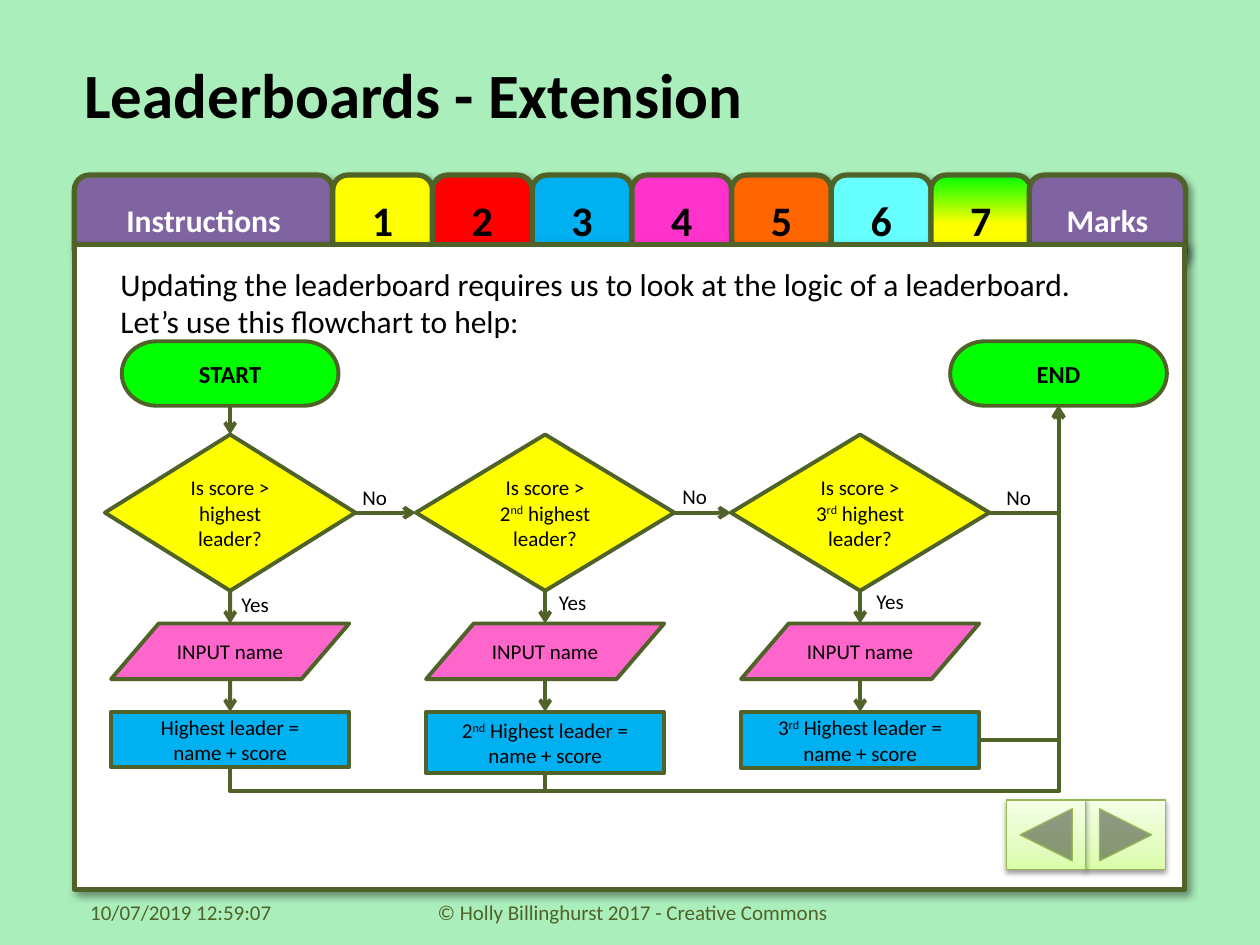
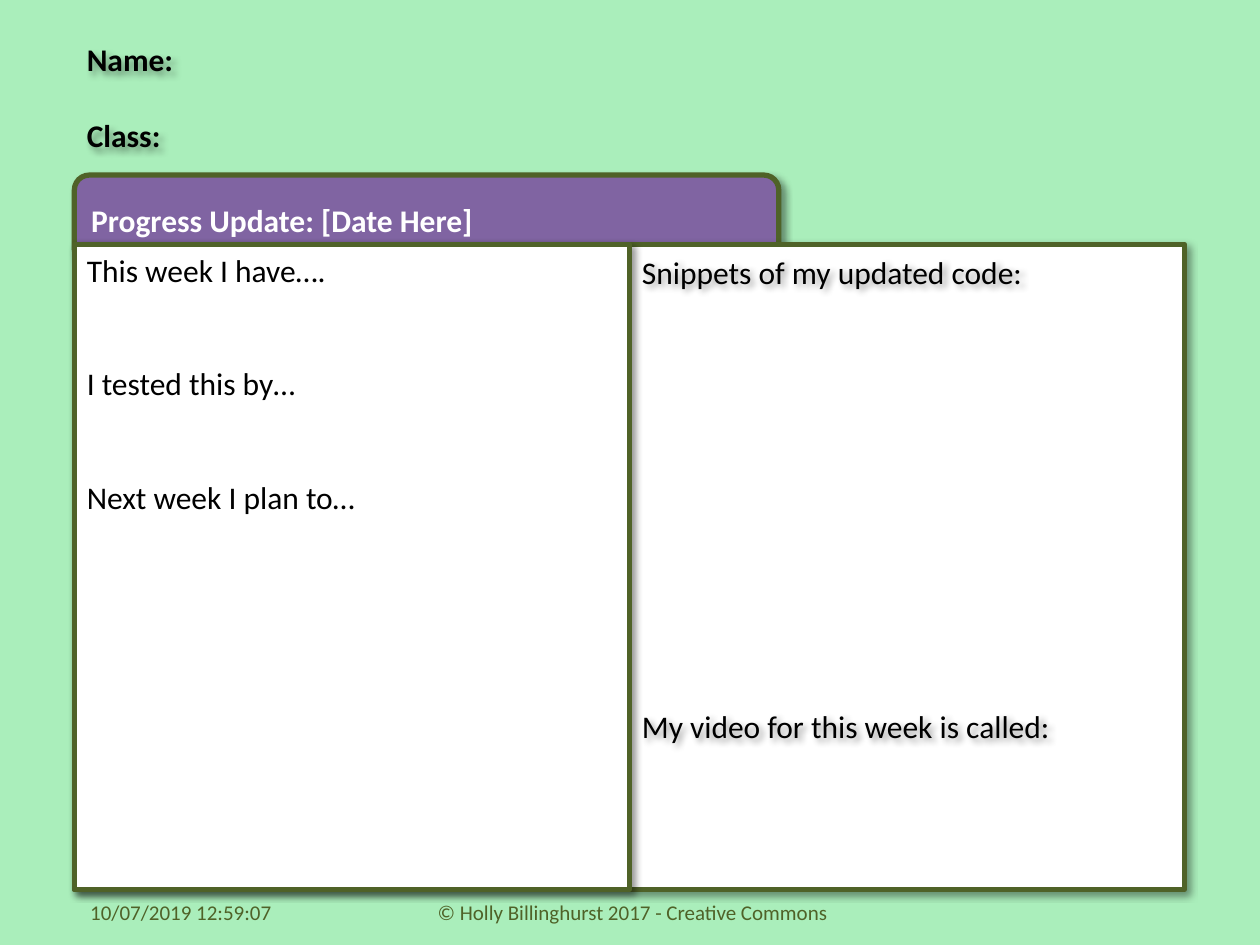
from lxml import etree
from pptx import Presentation
from pptx.dml.color import RGBColor
from pptx.enum.shapes import MSO_CONNECTOR, MSO_SHAPE
from pptx.enum.text import MSO_ANCHOR, PP_ALIGN
from pptx.oxml import parse_xml
from pptx.oxml.ns import nsdecls, qn
from pptx.util import Cm, Pt

RECTANGLE = MSO_SHAPE.RECTANGLE
ROUNDED = MSO_SHAPE.ROUNDED_RECTANGLE
TERMINATOR = MSO_SHAPE.FLOWCHART_TERMINATOR
DECISION = MSO_SHAPE.FLOWCHART_DECISION
INPUT = MSO_SHAPE.FLOWCHART_DATA
BACK = MSO_SHAPE.ACTION_BUTTON_BACK_OR_PREVIOUS
FORWARD = MSO_SHAPE.ACTION_BUTTON_FORWARD_OR_NEXT
STRAIGHT, ELBOW = MSO_CONNECTOR.STRAIGHT, MSO_CONNECTOR.ELBOW
TOP, MIDDLE = MSO_ANCHOR.TOP, MSO_ANCHOR.MIDDLE
LEFT, CENTER = PP_ALIGN.LEFT, PP_ALIGN.CENTER
SITE_TOP, SITE_LEFT, SITE_BOTTOM, SITE_RIGHT = range(4)

FONT = "Calibri"
MINT = RGBColor(0xAA, 0xEE, 0xBB)
OLIVE = RGBColor(0x4F, 0x62, 0x28)
LEAF = RGBColor(0x98, 0xB9, 0x55)
PURPLE = RGBColor(0x80, 0x64, 0xA2)
WHITE = RGBColor(0xFF, 0xFF, 0xFF)
BLACK = RGBColor(0x00, 0x00, 0x00)
YELLOW = RGBColor(0xFF, 0xFF, 0x00)
RED = RGBColor(0xFF, 0x00, 0x00)
BLUE = RGBColor(0x00, 0xB0, 0xF0)
MAGENTA = RGBColor(0xFF, 0x33, 0xCC)
PINK = RGBColor(0xFF, 0x66, 0xCC)
ORANGE = RGBColor(0xFF, 0x66, 0x00)
CYAN = RGBColor(0x66, 0xFF, 0xFF)
GREEN = RGBColor(0x00, 0xFF, 0x00)

# Gradients: angle in degrees, then (position in percent, colour)
GREEN_TO_YELLOW = (90, [(0, GREEN), (55, YELLOW), (100, YELLOW)])
BUTTON_GREEN = (270, [(0, RGBColor(0xDA, 0xFD, 0xA7)),
                      (35, RGBColor(0xE4, 0xFC, 0xC2)),
                      (100, RGBColor(0xF5, 0xFF, 0xE7))])

# Shadows: opacity in percent, blur and distance in points, angle in degrees
CARD_SHADOW = (40, 4, 3, 45)
BUTTON_SHADOW = (38, 3.1, 1.6, 90)

PANEL_LEFT, PANEL_TOP, PANEL_WIDTH, PANEL_HEIGHT = 1.5, 4.93, 22.38, 13
TAB_TOP, TAB_HEIGHT = 3.53, 1.8
LINE_HEIGHT = 21.6  # one 18 point line, in points

COLUMN_FIRST, COLUMN_STEP = 4.64, 6.35
DECISION_TOP, DECISION_HEIGHT = 8.76, 3.15
INPUT_TOP, INPUT_HEIGHT = 12.57, 1.12
RESULT_TOP, RETURN_LEVEL = 14.35, 15.95
BOX_WIDTH = 4.8


def set_gradient(shape, gradient):
    angle, stops = gradient
    stop_xml = "".join(
        f'<a:gs pos="{place * 1000}"><a:srgbClr val="{colour}"/></a:gs>'
        for place, colour in stops)
    fill = parse_xml(
        f'<a:gradFill rotWithShape="1" {nsdecls("a")}><a:gsLst>{stop_xml}</a:gsLst>'
        f'<a:lin ang="{angle * 60000}" scaled="0"/></a:gradFill>')
    shape._element.spPr.find(qn("a:prstGeom")).addnext(fill)


def set_shadow(shape, shadow):
    shape.shadow.inherit = False
    if shadow:
        opacity, blur, distance, angle = shadow
        effects = shape._element.spPr.find(qn("a:effectLst"))
        effects.append(parse_xml(
            f'<a:outerShdw {nsdecls("a")} blurRad="{Pt(blur)}" dist="{Pt(distance)}" '
            f'dir="{angle * 60000}" algn="tl" rotWithShape="0"><a:srgbClr val="000000">'
            f'<a:alpha val="{opacity * 1000}"/></a:srgbClr></a:outerShdw>'))


def write(shape, text, size, colour=BLACK, bold=False, align=LEFT, anchor=TOP, gap=0):
    """Fill a shape with text; ^ marks switch superscript on and off."""
    frame = shape.text_frame
    frame.word_wrap = True
    frame.vertical_anchor = anchor
    for index, line in enumerate(text.split("\n")):
        para = frame.add_paragraph() if index else frame.paragraphs[0]
        para.alignment = align
        if index and gap:
            para.space_before = Pt(gap)
        for part, piece in enumerate(line.split("^")):
            span = para.add_run()
            span.text = piece
            span.font.name, span.font.size, span.font.bold = FONT, Pt(size), bold
            span.font.color.rgb = colour
            if part % 2:
                span._r.get_or_add_rPr().set("baseline", "30000")


def add_text(page, left, top, width, height, text, size, shadow=None, **style):
    box = page.shapes.add_textbox(Cm(left), Cm(top), Cm(width), Cm(height))
    if shadow:
        set_shadow(box, shadow)
    write(box, text, size, **style)
    return box


def add_box(page, kind, left, top, width, height, fill, line=OLIVE, weight=2.25,
            shadow=None):
    box = page.shapes.add_shape(kind, Cm(left), Cm(top), Cm(width), Cm(height))
    if isinstance(fill, RGBColor):
        box.fill.solid()
        box.fill.fore_color.rgb = fill
    else:
        set_gradient(box, fill)
    box.line.color.rgb = line
    box.line.width = Pt(weight)
    set_shadow(box, shadow)
    return box


def add_card(page, kind, left, top, width, height, fill):
    return add_box(page, kind, left, top, width, height, fill, weight=3,
                   shadow=CARD_SHADOW)


def add_tab(page, left, width, text, fill, size=18, colour=WHITE, align=CENTER):
    tab = add_card(page, ROUNDED, left, TAB_TOP, width, TAB_HEIGHT, fill)
    write(tab, text, size, colour, bold=True, align=align, anchor=MIDDLE)


def add_flow_box(page, kind, centre, top, width, height, fill, text, size=12):
    box = add_box(page, kind, centre - width / 2, top, width, height, fill)
    write(box, text, size, bold=kind == TERMINATOR, align=CENTER, anchor=MIDDLE)
    return box


def add_arrow(page, kind, start, end, begin_at=None, end_at=None):
    """Draw an arrow; begin_at and end_at are (box, site) pairs to join."""
    arrow = page.shapes.add_connector(kind, *(Cm(value) for value in start + end))
    if begin_at:
        arrow.begin_connect(*begin_at)
    if end_at:
        arrow.end_connect(*end_at)
    arrow.line.color.rgb = OLIVE
    arrow.line.width = Pt(2.25)
    properties = arrow._element.spPr
    etree.SubElement(properties.find(qn("a:ln")), qn("a:tailEnd"), type="arrow")
    etree.SubElement(properties, qn("a:effectLst"))
    return arrow


def add_corner_arrow(page, box, end_box, start, end):
    arrow = add_arrow(page, ELBOW, start, end, (box, SITE_RIGHT), (end_box, SITE_BOTTOM))
    arrow._element.spPr.find(qn("a:prstGeom")).set("prst", "bentConnector2")


def add_return_arrow(page, box, end_box, start, end):
    """Lead an arrow down to the return level, across, and up to the end box."""
    arrow = add_arrow(page, ELBOW, start, end, (box, SITE_BOTTOM), (end_box, SITE_BOTTOM))
    across, rise = arrow.width, arrow.height
    arrow.left += (across - rise) // 2
    arrow.top += (rise - across) // 2
    arrow.width, arrow.height = rise, across
    properties = arrow._element.spPr
    frame = properties.find(qn("a:xfrm"))
    for name, value in (("rot", "5400000"), ("flipH", "1"), ("flipV", "1")):
        frame.set(name, value)
    drop = (RETURN_LEVEL - start[1]) / (start[1] - end[1])
    guides = properties.find(qn("a:prstGeom")).get_or_add_avLst()
    etree.SubElement(guides, qn("a:gd"), name="adj1", fmla=f"val {round(-drop * 100000)}")


def add_page(deck):
    page = deck.slides.add_slide(deck.slide_layouts[6])
    page.background.fill.solid()
    page.background.fill.fore_color.rgb = MINT
    return page


def add_footer(page):
    add_text(page, 1.57, 17.88, 5.92, 1.02, "10/07/2019 12:59:07", 12,
             colour=OLIVE, anchor=MIDDLE)
    add_text(page, 7.42, 17.88, 10.67, 1.02, "© Holly Billinghurst 2017 - Creative Commons",
             12, colour=OLIVE, align=CENTER, anchor=MIDDLE)


def add_tabs(page):
    add_tab(page, PANEL_LEFT, 5.21, "Instructions", PURPLE)
    fills = [YELLOW, RED, BLUE, MAGENTA, ORANGE, CYAN, GREEN_TO_YELLOW]
    for index, fill in enumerate(fills):
        add_tab(page, 6.71 + 2.01 * index, 2.01, str(index + 1), fill, 24, BLACK)
    add_tab(page, 20.75, 3.15, "Marks", PURPLE)


def add_flowchart(page):
    start_box = add_flow_box(page, TERMINATOR, COLUMN_FIRST, 6.88, 4.37, 1.3, GREEN,
                             "START", 14)
    end_centre, end_bottom = 21.34, 8.18
    end_box = add_flow_box(page, TERMINATOR, end_centre, 6.88, 4.37, 1.3, GREEN, "END", 14)
    end = (end_centre, end_bottom)
    columns = [
        ("highest", "Highest leader =\nname + score", 5.05, 1.12),
        ("2^nd^ highest", "2^nd^ Highest leader = name + score", 5.21, 1.24),
        ("3^rd^ highest", "3^rd^ Highest leader = name + score", 5.21, 1.14),
    ]
    source, site, source_end = start_box, SITE_BOTTOM, (COLUMN_FIRST, end_bottom)
    middle = DECISION_TOP + DECISION_HEIGHT / 2
    for index, (rank, result_text, width, result_height) in enumerate(columns):
        centre = COLUMN_FIRST + COLUMN_STEP * index
        decision = add_flow_box(page, DECISION, centre, DECISION_TOP, width,
                                DECISION_HEIGHT, YELLOW, f"Is score > {rank} leader?")
        add_flow_box(page, INPUT, centre, INPUT_TOP, BOX_WIDTH, INPUT_HEIGHT, PINK,
                     "INPUT name")
        result = add_flow_box(page, RECTANGLE, centre, RESULT_TOP, BOX_WIDTH,
                              result_height, BLUE, result_text)

        entry = (centre - width / 2, middle) if index else (centre, DECISION_TOP)
        add_arrow(page, STRAIGHT, source_end, entry, (source, site),
                  (decision, SITE_LEFT if index else SITE_TOP))
        add_arrow(page, STRAIGHT, (centre, DECISION_TOP + DECISION_HEIGHT),
                  (centre, INPUT_TOP), begin_at=(decision, SITE_BOTTOM))
        add_arrow(page, STRAIGHT, (centre, INPUT_TOP + INPUT_HEIGHT),
                  (centre, RESULT_TOP), end_at=(result, SITE_TOP))
        source, site, source_end = decision, SITE_RIGHT, (centre + width / 2, middle)
        if index < len(columns) - 1:
            add_return_arrow(page, result, end_box,
                             (centre, RESULT_TOP + result_height), end)
        else:
            add_corner_arrow(page, decision, end_box, source_end, end)
            add_corner_arrow(page, result, end_box,
                             (centre + BOX_WIDTH / 2, RESULT_TOP + result_height / 2), end)

    labels = [("No", 6.73, 9.75), ("No", 13.18, 9.73), ("No", 19.71, 9.75),
              ("Yes", 4.32, 11.89), ("Yes", 10.72, 11.86), ("Yes", 17.12, 11.84)]
    for text, left, top in labels:
        add_text(page, left, top, 1.65, 0.56, text, 12, align=CENTER, anchor=MIDDLE)


def build_leaderboards(page):
    add_tabs(page)
    add_card(page, RECTANGLE, PANEL_LEFT, PANEL_TOP, PANEL_WIDTH, PANEL_HEIGHT, WHITE)
    add_text(page, 1.45, 0.99, 14.66, 1.8, "Leaderboards - Extension", 36, bold=True)
    add_footer(page)
    intro = add_text(page, 2.18, 5.21, 20.57, 1.8,
                     "Updating the leaderboard requires us to look at the logic of a "
                     "leaderboard. Let’s use this flowchart to help:", 18)
    intro.fill.solid()
    intro.fill.fore_color.rgb = WHITE
    for kind, left in ((FORWARD, 21.89), (BACK, 20.29)):
        add_box(page, kind, left, 16.13, 1.6, 1.4, BUTTON_GREEN, LEAF, 0.75, BUTTON_SHADOW)
    add_flowchart(page)


def build_progress(page):
    add_tab(page, PANEL_LEFT, 14.2, "Progress Update: [Date Here]", PURPLE, align=LEFT)
    add_card(page, RECTANGLE, PANEL_LEFT, PANEL_TOP, PANEL_WIDTH, PANEL_HEIGHT, WHITE)
    half = PANEL_WIDTH / 2
    diary = add_card(page, RECTANGLE, PANEL_LEFT, PANEL_TOP, half, PANEL_HEIGHT, WHITE)
    write(diary, "This week I have….\nI tested this by…\nNext week I plan to…", 18,
          gap=2 * LINE_HEIGHT)
    add_text(page, PANEL_LEFT + half, 4.98, half, PANEL_HEIGHT,
             "Snippets of my updated code:\nMy video for this week is called:", 18,
             shadow=CARD_SHADOW, gap=11 * LINE_HEIGHT)
    add_text(page, PANEL_LEFT, 0.69, half, 1.88, "Name:\nClass:", 18,
             shadow=CARD_SHADOW, bold=True, gap=LINE_HEIGHT)
    add_footer(page)


def main():
    deck = Presentation()
    deck.slide_width, deck.slide_height = Cm(25.4), Cm(19.05)
    build_leaderboards(add_page(deck))
    build_progress(add_page(deck))
    deck.save("out.pptx")


if __name__ == "__main__":
    main()
